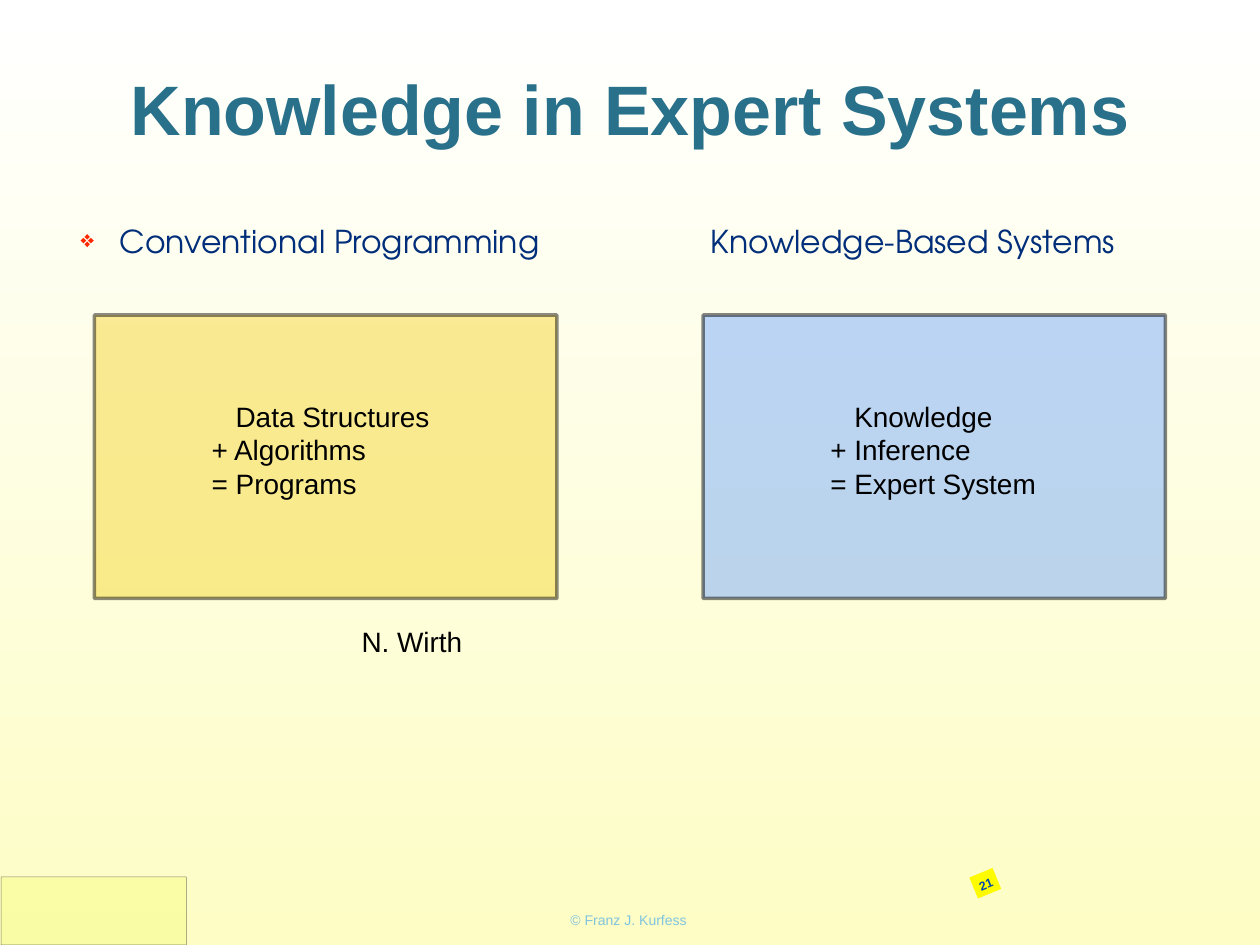
from lxml import etree
from pptx import Presentation
from pptx.dml.color import RGBColor
from pptx.enum.shapes import MSO_SHAPE as Shape
from pptx.enum.text import MSO_ANCHOR as Anchor, PP_ALIGN as Align
from pptx.oxml.ns import qn
from pptx.util import Inches, Pt

COLORS = {
    "pale": "FDFDC5", "white": "FFFFFF", "black": "000000",
    "title": "29708A", "heading": "002E7A", "bullet": "FF2600",
    "gold": "F5D328", "blue": "74A7FE", "corner": "F8FC84",
    "credit": "80C4DF", "badge": "FFFB00", "number": "0048AA",
}


def color(name):
    return RGBColor.from_string(COLORS[name])


def write(shape, lines, size, tint, font="Arial", bold=False,
          align=Align.LEFT, anchor=Anchor.TOP):
    """Fill a shape with one evenly formatted paragraph per line."""
    frame = shape.text_frame
    frame.word_wrap = True
    frame.vertical_anchor = anchor
    frame.margin_left = frame.margin_right = Inches(0.04)
    frame.margin_top = frame.margin_bottom = Inches(0.04)
    frame.text = "\n".join(lines)
    for para in frame.paragraphs:
        para.alignment = align
        for span in para.runs:
            span.font.name = font
            span.font.size = Pt(size)
            span.font.bold = bold
            span.font.color.rgb = color(tint)
    return frame


def add_text(page, box, lines, size, tint, **style):
    shape = page.shapes.add_textbox(*map(Inches, box))
    return write(shape, lines, size, tint, **style)


def add_panel(page, box, tint, opacity=100, line_width=0):
    """Add a rectangle whose fill and black outline share one opacity."""
    panel = page.shapes.add_shape(Shape.RECTANGLE, *map(Inches, box))
    panel.shadow.inherit = False
    panel.fill.solid()
    panel.fill.fore_color.rgb = color(tint)
    if line_width:
        panel.line.width = Pt(line_width)
        panel.line.color.rgb = color("black")
    else:
        panel.line.fill.background()
    if opacity < 100:
        for element in panel.element.spPr.iter(qn("a:srgbClr")):
            etree.SubElement(element, qn("a:alpha"), val=str(opacity * 1000))
    return panel


def paint_background(page):
    fill = page.background.fill
    fill.gradient()
    fill.gradient_angle = 90
    for stop, name, position in zip(fill.gradient_stops, ("pale", "white"), (0, 1)):
        stop.color.rgb = color(name)
        stop.position = position


def add_title(page, box):
    title = page.shapes.title
    title.left, title.top, title.width, title.height = map(Inches, box)
    write(title, ["Knowledge in Expert Systems"], 40, "title", bold=True,
          align=Align.CENTER, anchor=Anchor.MIDDLE)


def add_headings(page, box):
    """Place both column headings on one bulleted line, split by a tab stop."""
    frame = add_text(page, box, ["Conventional Programming\tKnowledge-Based Systems"],
                     18, "heading", font="TeX Gyre Adventor")
    para = frame.paragraphs[0]
    para.line_spacing = 0.9
    props = para._p.get_or_add_pPr()
    props.set("marL", str(Inches(0.31)))
    props.set("indent", str(Inches(-0.31)))
    bullet_color = etree.SubElement(props, qn("a:buClr"))
    etree.SubElement(bullet_color, qn("a:srgbClr"), val=COLORS["bullet"])
    etree.SubElement(props, qn("a:buSzPct"), val="75000")
    etree.SubElement(props, qn("a:buChar"), char="❖")
    tabs = etree.SubElement(props, qn("a:tabLst"))
    etree.SubElement(tabs, qn("a:tab"), pos=str(Inches(5)), algn="l")


def add_formula(page, box, tint, opacity, text_left, lines):
    """Add a panel with a sum whose first term is indented past the signs."""
    left, top, width, height = box
    add_panel(page, box, tint, opacity, line_width=2)
    frame = add_text(page, (left + text_left, top + 0.63, 2.1, 0.92), lines, 16, "black")
    frame.paragraphs[0]._p.get_or_add_pPr().set("indent", str(Inches(0.19)))


def add_footer(page):
    add_panel(page, (0.01, 6.96, 1.47, 0.54), "corner", 48, line_width=0.25)
    add_text(page, (3.36, 7.17, 3.26, 0.26), ["© Franz J. Kurfess"], 8, "credit",
             align=Align.CENTER, anchor=Anchor.MIDDLE)
    badge = add_panel(page, (7.72, 6.92, 0.2, 0.18), "badge")
    badge.rotation = 337.5
    frame = write(badge, ["21"], 7, "number", bold=True, align=Align.CENTER)
    frame.word_wrap = False


def main():
    deck = Presentation()
    deck.slide_width, deck.slide_height = Inches(10), Inches(7.5)
    page = deck.slides.add_slide(deck.slide_layouts[5])
    paint_background(page)
    add_footer(page)
    add_title(page, (0.6, 0, 8.8, 1.7))
    add_headings(page, (0.6, 1.76, 8.79, 0.4))
    add_formula(page, (0.75, 2.5, 3.67, 2.25), "gold", 45, 0.89,
                ["Data Structures", "+ Algorithms", "= Programs"])
    add_formula(page, (5.58, 2.5, 3.67, 2.25), "blue", 48, 0.97,
                ["Knowledge", "+ Inference", "= Expert System"])
    add_text(page, (2.83, 4.92, 1.6, 0.36), ["N. Wirth"], 16, "black")
    deck.save("out.pptx")


if __name__ == "__main__":
    main()
